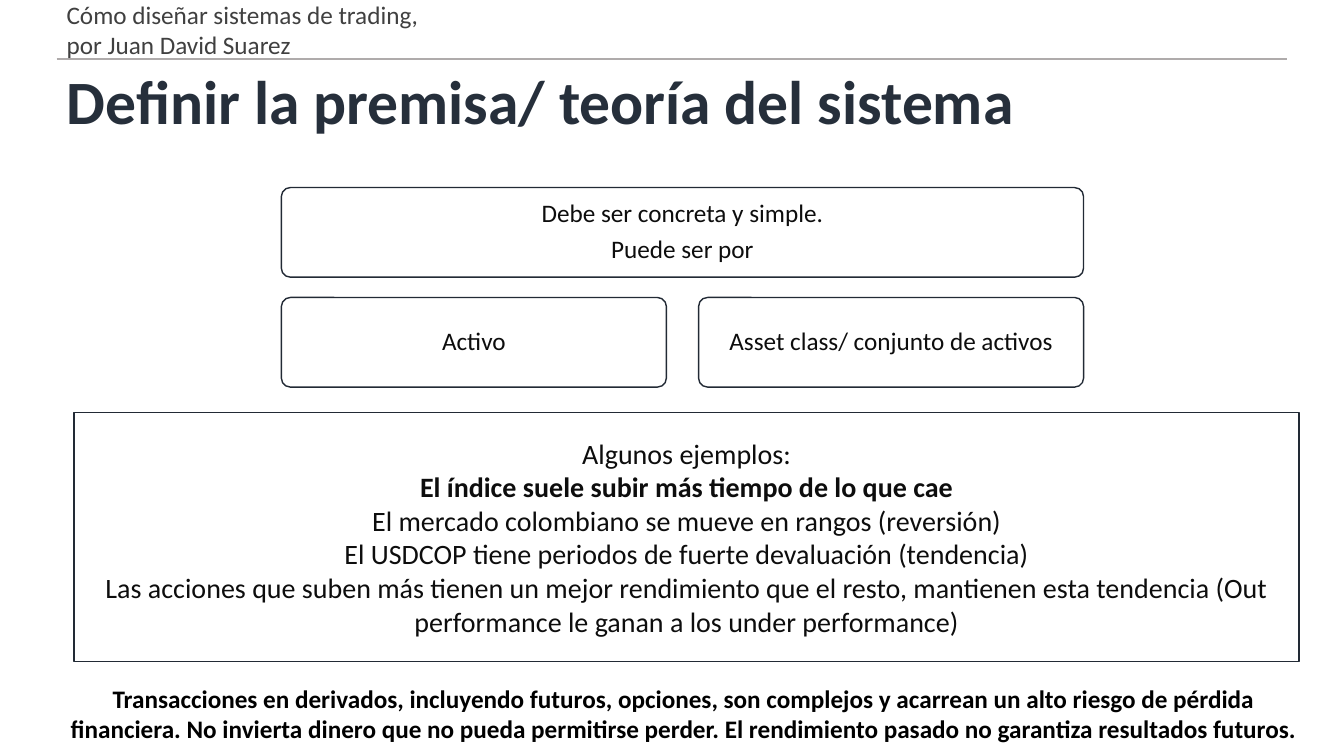
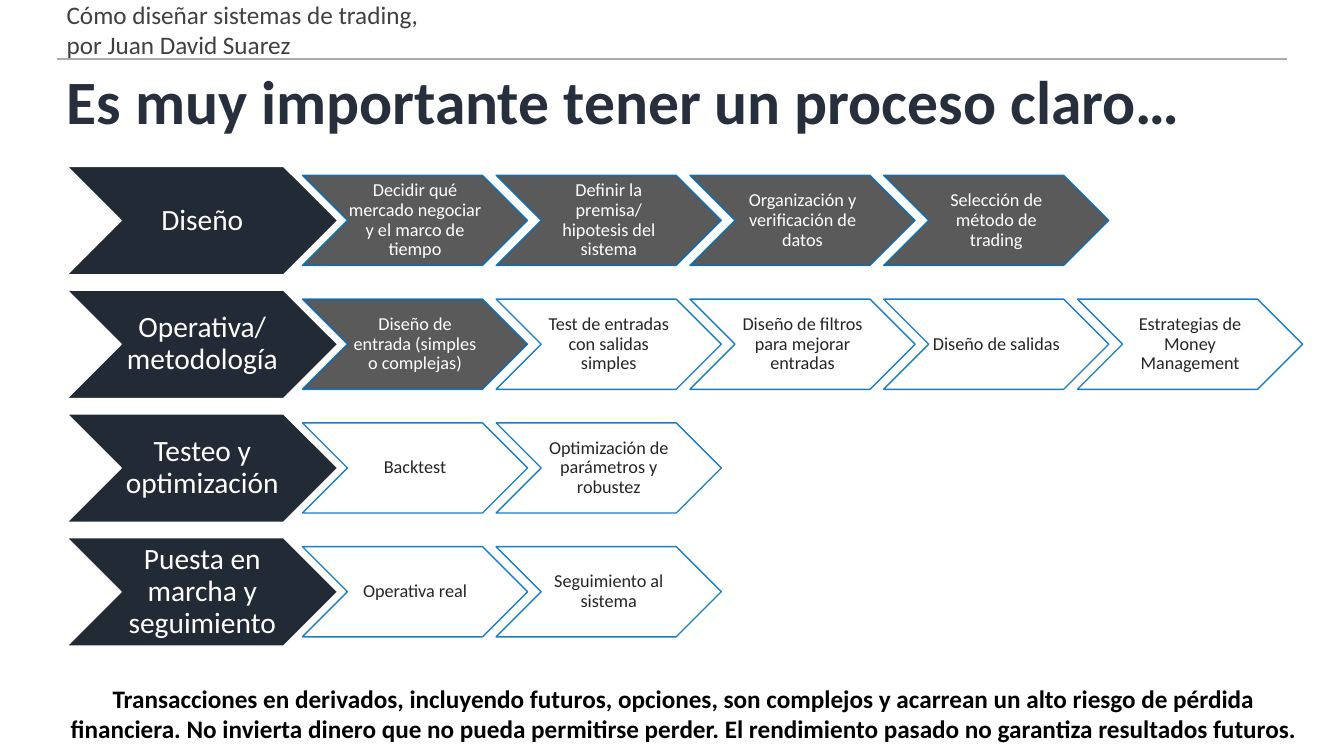
from lxml import etree
from pptx import Presentation
from pptx.dml.color import RGBColor
from pptx.enum import shapes, text
from pptx.oxml.ns import qn
from pptx.util import Pt

FONT = "Calibri"
NAVY, TITLE, RULE, BLUE, DONE = "222A35", "262F3B", "AFABAB", "0071BD", "5A5A5A"
WHITE, BLACK, INK, STEP_INK, GREY = "FFFFFF", "000000", "0D0D0D", "262626", "404040"
LEFT, CENTER = text.PP_ALIGN.LEFT, text.PP_ALIGN.CENTER
SHAPE = shapes.MSO_SHAPE

HEADER = "Cómo diseñar sistemas de trading, por Juan David Suarez"
DISCLAIMER = (
    "Transacciones en derivados, incluyendo futuros, opciones, son complejos y acarrean "
    "un alto riesgo de pérdida financiera. No invierta dinero que no pueda permitirse "
    "perder. El rendimiento pasado no garantiza resultados futuros."
)


def write(shape, content, size, color, bold=False, align=CENTER, spacing=1.0, gap=0, insets=None):
    """Fill a shape with text, one paragraph per line; insets are horizontal, vertical."""
    frame = shape.text_frame
    frame.word_wrap = True
    frame.vertical_anchor = text.MSO_ANCHOR.MIDDLE
    if insets:
        frame.margin_left = frame.margin_right = Pt(insets[0])
        frame.margin_top = frame.margin_bottom = Pt(insets[1])
    frame.text = content
    for index, paragraph in enumerate(frame.paragraphs):
        paragraph.alignment = align
        paragraph.line_spacing = spacing
        if index:
            paragraph.space_before = Pt(gap)
        for run in paragraph.runs:
            run.font.name = FONT
            run.font.size = Pt(size)
            run.font.bold = bold
            run.font.color.rgb = RGBColor.from_string(color)


def add_outline(slide, kind, left, top, width, height, line, fill=None):
    shape = slide.shapes.add_shape(kind, Pt(left), Pt(top), Pt(width), Pt(height))
    shape.shadow.inherit = False
    if fill:
        shape.fill.solid()
        shape.fill.fore_color.rgb = RGBColor.from_string(fill)
    else:
        shape.fill.background()
    shape.line.color.rgb = RGBColor.from_string(line)
    shape.line.width = Pt(1)
    return shape


prs = Presentation()
prs.slide_width, prs.slide_height = Pt(960), Pt(540)

# Shared frame: rule, header, disclaimer and title
slides = []
for title in ("Definir la premisa/ teoría del sistema", "Es muy importante tener un proceso claro…"):
    slide = prs.slides.add_slide(prs.slide_layouts[6])
    slides.append(slide)
    rule = slide.shapes.add_connector(
        shapes.MSO_CONNECTOR.STRAIGHT, Pt(40.5), Pt(42.2), Pt(919.5), Pt(42.2))
    rule.line.color.rgb = RGBColor.from_string(RULE)
    rule.line.width = Pt(1.5)
    etree.SubElement(rule.element.spPr, qn("a:effectLst"))
    for content, top, width, height, size, color, bold, align, spacing in (
        (HEADER, 8.6, 283, 24.5, 18, GREY, False, LEFT, 1.0),
        (DISCLAIMER, 486.7, 896, 45.4, 18, BLACK, True, CENTER, 1.0),
        (title, 46, 878, 57, 44, TITLE, True, LEFT, 0.9),
    ):
        box = slide.shapes.add_textbox(Pt(40.5), Pt(top), Pt(width), Pt(height))
        write(box, content, size, color, bold, align, spacing)

premise, process = slides

# Premise: one statement, its two scopes and examples
for content, left, top, width in (
    ("Debe ser concreta y simple.\nPuede ser por", 201, 134, 573),
    ("Activo", 201, 212.5, 275),
    ("Asset class/ conjunto de activos", 499, 212.5, 275),
):
    card = add_outline(premise, SHAPE.ROUNDED_RECTANGLE, left, top, width, 64, NAVY)
    card.adjustments[0] = 0.1
    write(card, content, 18, INK, spacing=0.9, gap=6, insets=(5, 5))

examples = add_outline(premise, SHAPE.RECTANGLE, 53, 294.5, 875, 178, NAVY)
write(examples, "\n".join((
    "Algunos ejemplos:",
    "El índice suele subir más tiempo de lo que cae",
    "El mercado colombiano se mueve en rangos (reversión)",
    "El USDCOP tiene periodos de fuerte devaluación (tendencia)",
    "Las acciones que suben más tienen un mejor rendimiento que el resto, mantienen "
    "esta tendencia (Out performance le ganan a los under performance)",
)), 20, INK)
examples.text_frame.paragraphs[1].runs[0].font.bold = True

# Process: each stage with its number of covered steps and its steps
stages = (
    ("Diseño", 4, (
        "Decidir qué mercado negociar y el marco de tiempo",
        "Definir la premisa/ hipotesis del sistema",
        "Organización y verificación de datos",
        "Selección de método de trading")),
    ("Operativa/ metodología", 1, (
        "Diseño de entrada (simples o complejas)",
        "Test de entradas con salidas simples",
        "Diseño de filtros para mejorar entradas",
        "Diseño de salidas",
        "Estrategias de Money Management")),
    ("Testeo y optimización", 0, ("Backtest", "Optimización de parámetros y robustez")),
    ("Puesta en marcha y seguimiento", 0, ("Operativa real", "Seguimiento al sistema")),
)
STAGE_HEIGHT, STEP_HEIGHT = 77.4, 64.4
for row, (stage_name, covered, steps) in enumerate(stages):
    top = 118.8 + row * 88.4
    stage = add_outline(process, SHAPE.CHEVRON, 47.8, top, 193.5, STAGE_HEIGHT, WHITE, NAVY)
    write(stage, stage_name, 21, WHITE, spacing=0.9, insets=(1, 1))
    step_top = top + (STAGE_HEIGHT - STEP_HEIGHT) / 2
    for column, step_name in enumerate(steps):
        is_covered = column < covered
        step = add_outline(process, SHAPE.CHEVRON, 216 + column * 138.4, step_top, 160.8,
                           STEP_HEIGHT, BLUE, DONE if is_covered else None)
        line_color = step.element.xpath(".//a:ln//a:srgbClr")[0]
        etree.SubElement(line_color, qn("a:alpha"), val="90000")
        write(step, step_name, 13, WHITE if is_covered else STEP_INK, spacing=0.9, insets=(0.7, 0.7))

prs.save("out.pptx")
